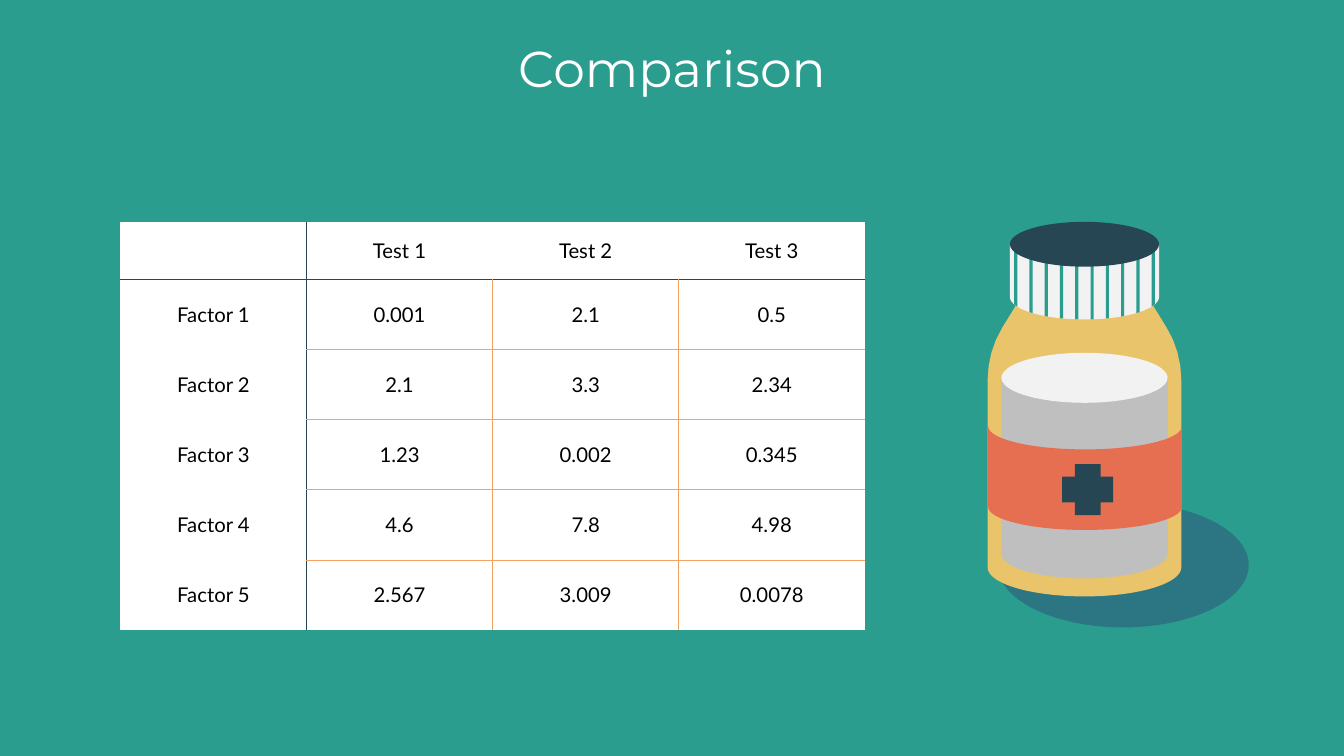
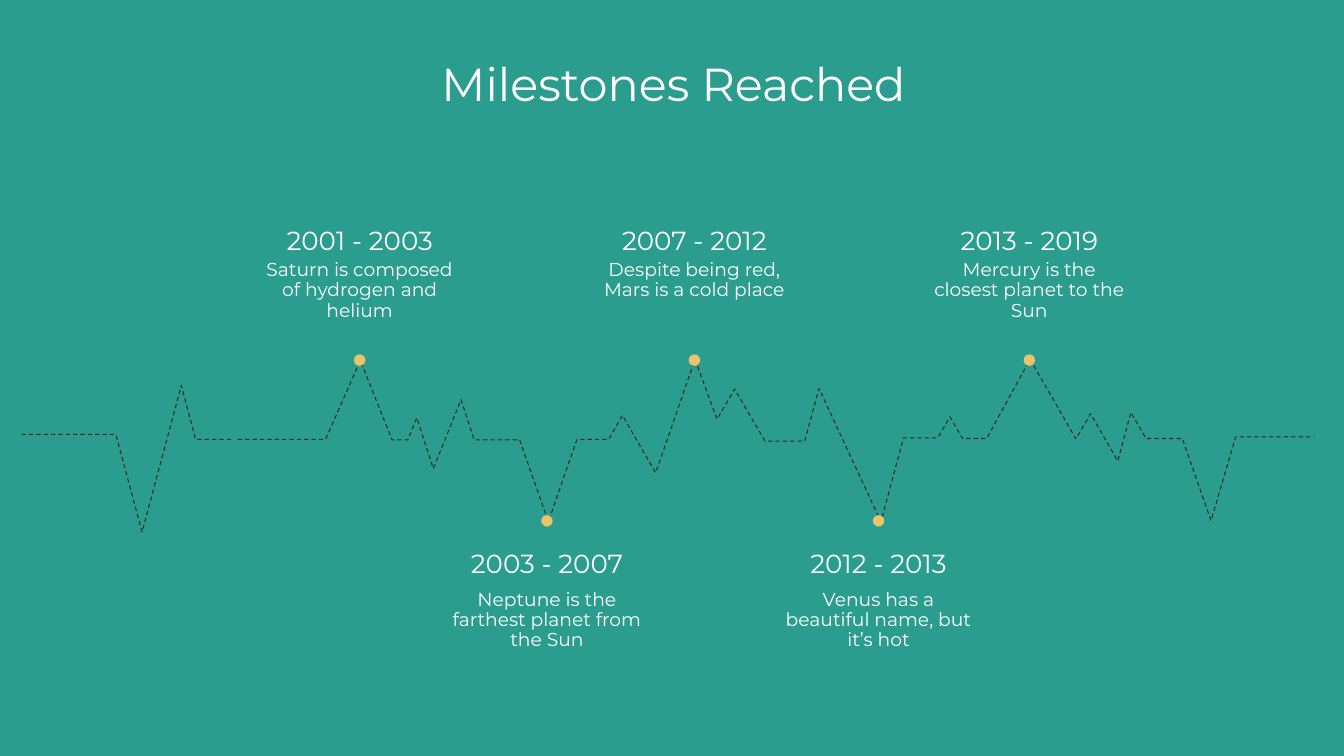
import math

from lxml import etree
from pptx import Presentation
from pptx.dml.color import RGBColor
from pptx.enum import dml, shapes, text
from pptx.oxml import ns
from pptx.util import Cm, Pt

COLOURS = {
    "teal": "2A9D8F", "navy": "264653", "orange": "F4A261", "yellow": "E9C46A",
    "coral": "E76F51", "grey": "BFBFBF", "pale": "F2F2F2", "purple": "32186B",
    "pulse": "322824", "white": "FFFFFF", "black": "000000",
}
RGB = {name: RGBColor.from_string(value) for name, value in COLOURS.items()}
BOTTLE_X = 54.66
INSET = 0.68


def rim(half_width, y, depth, centre=BOTTLE_X):
    """Points from left to right along the front half of a round edge seen from above."""
    angles = [math.pi * (1 - step / 40) for step in range(41)]
    return [(centre + half_width * math.cos(a), y + depth * math.sin(a)) for a in angles]


def trace(holder, points, fill=None):
    """Draw a closed filled outline, or an open dashed line when there is no fill."""
    start, *rest = [(Cm(x), Cm(y)) for x, y in points]
    builder = holder.build_freeform(*start)
    builder.add_line_segments(rest, close=fill is not None)
    outline = builder.convert_to_shape()
    outline.shadow.inherit = False
    if fill:
        outline.fill.solid()
        outline.fill.fore_color.rgb = RGB[fill]
        outline.line.fill.background()
    else:
        outline.fill.background()
        outline.line.color.rgb = RGB["pulse"]
        outline.line.width = Pt(1.5)
        outline.line.dash_style = dml.MSO_LINE.DASH


prs = Presentation()
prs.slide_width, prs.slide_height = Cm(67.74), Cm(38.1)
backdrop = prs.slide_master.background.fill
backdrop.solid()
backdrop.fore_color.rgb = RGB["teal"]
comparison, milestones = [prs.slides.add_slide(prs.slide_layouts[6]) for _ in range(2)]

# Test results
results = [
    ["", "Test 1", "Test 2", "Test 3"],
    ["Factor 1", "0.001", "2.1", "0.5"],
    ["Factor 2", "2.1", "3.3", "2.34"],
    ["Factor 3", "1.23", "0.002", "0.345"],
    ["Factor 4", "4.6", "7.8", "4.98"],
    ["Factor 5", "2.567", "3.009", "0.0078"],
]
last_row, last_col = len(results) - 1, len(results[0]) - 1
grid = comparison.shapes.add_table(
    len(results), len(results[0]), Cm(6.07), Cm(11.18), Cm(37.52), Cm(20.57)).table
grid.first_row = grid.horz_banding = False
for column in grid.columns:
    column.width = Cm(9.38)
for r, row in enumerate(grid.rows):
    row.height = Cm(3.53 if r else 2.92)
    for c, cell in enumerate(row.cells):
        navy_left, navy_top = c == 1, r == 1
        edges = {
            "lnL": "navy" if c == 1 else "orange" if c > 1 and r else None,
            "lnR": "navy" if c == 0 else "orange" if c < last_col and r else None,
            "lnT": "navy" if r == 1 else "orange" if r > 1 and c else None,
            "lnB": "navy" if r == 0 else "orange" if r < last_row and c else None,
        }
        properties = cell._tc.get_or_add_tcPr()
        for edge, colour in edges.items():
            line = etree.SubElement(properties, ns.qn(f"a:{edge}"), w=str(Pt(1.5)))
            paint = etree.SubElement(line, ns.qn("a:solidFill" if colour else "a:noFill"))
            if colour:
                etree.SubElement(paint, ns.qn("a:srgbClr"), val=COLOURS[colour])
        cell.fill.solid()
        cell.fill.fore_color.rgb = RGB["white"]
        cell.vertical_anchor = text.MSO_ANCHOR.MIDDLE
        for side in ("left", "right", "top", "bottom"):
            setattr(cell, f"margin_{side}", Cm(INSET))
        cell.text = results[r][c]
        paragraph = cell.text_frame.paragraphs[0]
        paragraph.alignment = text.PP_ALIGN.CENTER
        for key, value in {"name": "Lato", "size": Pt(29)}.items():
            setattr(paragraph.font, key, value)
        paragraph.font.color.rgb = RGB["black"]

# Medicine bottle, from back to front: outlines are point lists, presets are boxes
shoulder = [(3.34, 15.21), (4.14, 16.51), (4.46, 17.12), (4.69, 17.77), (4.83, 18.44),
            (4.88, 19.13)]
glass = ([(BOTTLE_X - half, y) for half, y in shoulder] + rim(4.88, 28.6, 1.46)
         + [(BOTTLE_X + half, y) for half, y in reversed(shoulder)])
pills = [(BOTTLE_X - 4.19, 19.05), *rim(4.19, 27.91, 1.24), (BOTTLE_X + 4.19, 19.05)]
label = rim(4.88, 25.55, 1.16, 54.69) + rim(4.88, 21.49, 1.16, 54.69)[::-1]
cap = [(BOTTLE_X - 3.76, 12.32), *rim(3.76, 14.96, 1.14), (BOTTLE_X + 3.76, 12.32)]
ridges = []
for i in range(10):
    offsets = [(i - 4.5) * 0.77 + side for side in (-0.08, 0.08)]
    left, right = [(BOTTLE_X + d, 14.96 + 1.14 * math.sqrt(1 - (d / 3.76) ** 2))
                   for d in offsets]
    ridges.append(("teal", None, [(left[0], 12.32), left, right, (right[0], 12.32)]))

OVAL, RECT = shapes.MSO_SHAPE.OVAL, shapes.MSO_SHAPE.RECTANGLE
bottle_parts = [
    ("purple", OVAL, (50.27, 25.32, 12.67, 6.3)),
    ("yellow", None, glass),
    ("grey", None, pills),
    ("pale", OVAL, (50.47, 17.78, 8.38, 2.52)),
    ("coral", None, label),
    ("navy", RECT, (54.18, 23.39, 1.3, 2.57)),
    ("navy", RECT, (53.54, 24.02, 2.57, 1.3)),
    ("pale", None, cap),
    *ridges,
    ("navy", OVAL, (50.9, 11.18, 7.52, 2.26)),
]

# Milestones: (centre, above the pulse, years, event)
events = [
    (18.13, True, "2001 - 2003", "Saturn is composed of hydrogen and helium"),
    (35.0, True, "2007 - 2012", "Despite being red, Mars is a cold place"),
    (51.88, True, "2013 - 2019", "Mercury is the closest planet to the Sun"),
    (27.57, False, "2003 - 2007", "Neptune is the farthest planet from the Sun"),
    (44.28, False, "2012 - 2013", "Venus has a beautiful name, but it’s hot"),
]
pulse_start = [(1.09, 21.89), (5.84, 21.89), (7.16, 26.82), (9.14, 19.43), (9.86, 22.15),
               (11.66, 22.15)]
pulse = [
    (11.99, 22.15), (16.41, 22.15), (18.16, 18.16), (19.76, 22.17), (20.55, 22.17),
    (21.01, 21.06), (21.84, 23.62), (23.24, 20.14), (23.9, 22.17), (26.19, 22.17),
    (27.64, 26.29), (29.08, 22.15), (30.68, 22.15), (31.37, 20.93), (33.05, 23.83),
    (35.03, 18.11), (36.14, 21.13), (37.03, 19.61), (38.56, 22.23), (40.56, 22.23),
    (41.28, 19.58), (44.4, 26.29), (45.54, 22.07), (47.27, 22.07), (47.88, 21.01),
    (48.51, 22.1), (49.73, 22.1), (51.92, 18.11), (54.23, 22.12), (54.97, 20.85),
    (56.34, 23.24), (57, 20.78), (57.76, 22.1), (59.59, 22.1), (61.04, 26.24),
    (62.28, 22.02), (66.24, 22.02),
]
for beat in (pulse, pulse_start):
    trace(milestones.shapes, beat)
dots = [("yellow", OVAL, (x - 0.29, 17.86 if above else 25.96, 0.58, 0.58))
        for x, above, _, _ in events]

bottle = comparison.shapes.add_group_shape().shapes
for holder, parts in ((bottle, bottle_parts), (milestones.shapes, dots)):
    for colour, preset, geometry in parts:
        if preset is None:
            trace(holder, geometry, colour)
            continue
        part = holder.add_shape(preset, *map(Cm, geometry))
        part.shadow.inherit = False
        part.fill.solid()
        part.fill.fore_color.rgb = RGB[colour]
        part.line.fill.background()
        if colour == "purple":
            tint = part.fill._xPr.find(".//" + ns.qn("a:srgbClr"))
            etree.SubElement(tint, ns.qn("a:alpha"), val="29000")

# Titles and milestone texts
MIDDLE, TOP = text.MSO_ANCHOR.MIDDLE, text.MSO_ANCHOR.TOP
writings = [
    (comparison, "Comparison", (0, 1.73, 67.74, 3.71), 72, MIDDLE),
    (milestones, "Milestones Reached", (5.41, 3.18, 57.07, 2.36), 66, MIDDLE),
]
for x, above, years, event in events:
    years_top, event_top = (10.82, 12.45) if above else (27.08, 29.06)
    writings += [
        (milestones, years, (x - 5.55, years_top, 11.1, 3.61), 37.3, TOP),
        (milestones, event, (x - 5.55, event_top, 11.1, 3.33), 26.7, TOP),
    ]
for slide, words, box, size, anchor in writings:
    frame = slide.shapes.add_textbox(*map(Cm, box)).text_frame
    frame_format = {"word_wrap": True, "vertical_anchor": anchor}
    if slide is milestones:
        frame_format |= {f"margin_{side}": Cm(INSET)
                         for side in ("left", "right", "top", "bottom")}
    for key, value in frame_format.items():
        setattr(frame, key, value)
    paragraph = frame.paragraphs[0]
    paragraph.text = words
    paragraph.alignment = text.PP_ALIGN.CENTER
    paragraph.line_spacing = 0.9
    for key, value in {"name": "Montserrat", "size": Pt(size)}.items():
        setattr(paragraph.font, key, value)
    paragraph.font.color.rgb = RGB["white"]

prs.save("out.pptx")
